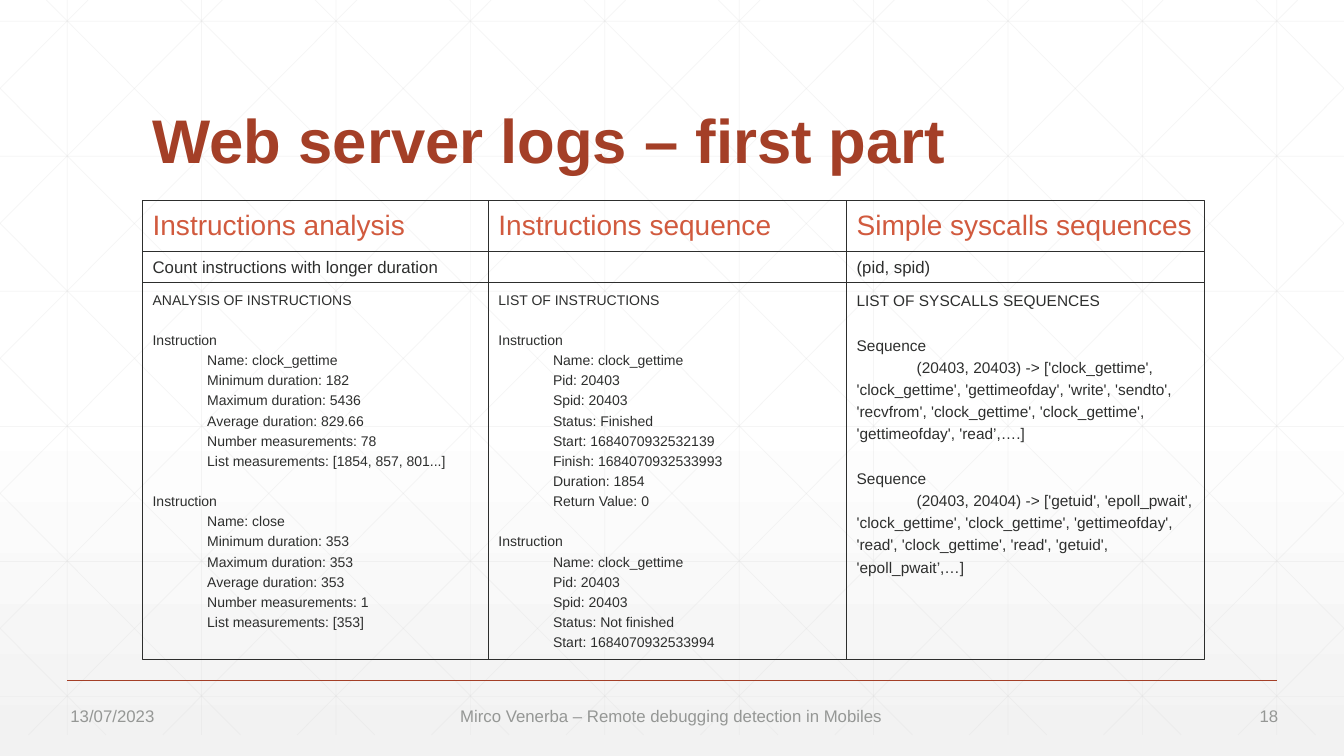
import dataclasses

import lxml.etree
import pptx
import pptx.dml.color
import pptx.enum.dml
import pptx.enum.shapes
import pptx.enum.text
import pptx.oxml.ns
import pptx.util

SLIDE_WIDTH = pptx.util.Inches(13.33)
SLIDE_HEIGHT = pptx.util.Inches(7.5)
FONT = "Arial"
RUST, CORAL, INK, GRAY = "A43F27", "D15A3E", "2D2E2D", "959795"
LATTICE_COLOR = "D9D9D9"
LATTICE_BOTTOM, DIAGONAL_SLOPE = 97.2, 0.56
HEADING_ROW, NOTE_ROW, LOG_ROW = (26.53, 6.73), (33.26, 4.14), (37.4, 49.8)


@dataclasses.dataclass
class Box:
    """A rectangle in percent of the slide's width and height."""

    left: float
    top: float
    width: float
    height: float


@dataclasses.dataclass
class LogColumn:
    """One column of the log overview; a tab marks an indented log line."""

    left: float
    width: float
    heading: str
    note: str
    log_size: int
    title: str
    entries: list[list[str]]


@dataclasses.dataclass
class FooterItem:
    """One text at the foot of the slide."""

    text: str
    left: float
    width: float
    align: str = "LEFT"


COLUMNS = [
    LogColumn(10.62, 25.73, "Instructions analysis", "Count instructions with longer duration", 10,
              "ANALYSIS OF INSTRUCTIONS", [
                  ["Instruction", "\tName: clock_gettime", "\tMinimum duration: 182",
                   "\tMaximum duration: 5436", "\tAverage duration: 829.66",
                   "\tNumber measurements: 78", "\tList measurements: [1854, 857, 801...]"],
                  ["Instruction", "\tName: close", "\tMinimum duration: 353",
                   "\tMaximum duration: 353", "\tAverage duration: 353",
                   "\tNumber measurements: 1", "\tList measurements: [353]"]]),
    LogColumn(36.35, 26.65, "Instructions sequence", "", 10,
              "LIST OF INSTRUCTIONS", [
                  ["Instruction", "\tName: clock_gettime", "\tPid: 20403", "\tSpid: 20403",
                   "\tStatus: Finished", "\tStart: 1684070932532139",
                   "\tFinish: 1684070932533993", "\tDuration: 1854", "\tReturn Value: 0"],
                  ["Instruction", "\tName: clock_gettime", "\tPid: 20403", "\tSpid: 20403",
                   "\tStatus: Not finished", "\tStart: 1684070932533994"]]),
    LogColumn(63, 26.65, "Simple syscalls sequences", "(pid, spid)", 11,
              "LIST OF SYSCALLS SEQUENCES", [
                  ["Sequence",
                   "\t(20403, 20403) -> ['clock_gettime', 'clock_gettime', 'gettimeofday', 'write', "
                   "'sendto', 'recvfrom', 'clock_gettime', 'clock_gettime', 'gettimeofday', 'read’,….]"],
                  ["Sequence",
                   "\t(20403, 20404) -> ['getuid', 'epoll_pwait', 'clock_gettime', 'clock_gettime', "
                   "'gettimeofday', 'read', 'clock_gettime', 'read', 'getuid', 'epoll_pwait’,…]"]]),
]
FOOTER = [
    FooterItem("Mirco Venerba – Remote debugging detection in Mobiles", 33.5, 32.9),
    FooterItem("18", 82.88, 12.97, "RIGHT"),
    FooterItem("13/07/2023", 4.5, 12.2),
]


def color(value: str) -> pptx.dml.color.RGBColor:
    """Turn a hex string into a colour."""
    return pptx.dml.color.RGBColor.from_string(value)


def across(share: float) -> int:
    """Convert percent of the slide's width to a length."""
    return round(SLIDE_WIDTH * share / 100)


def down(share: float) -> int:
    """Convert percent of the slide's height to a length."""
    return round(SLIDE_HEIGHT * share / 100)


def paint_background(slide) -> None:
    """Fill the background with white fading to pale gray at the bottom."""
    fill = slide.background.fill
    fill.gradient()
    fill.gradient_angle = 270
    stops = next(slide.element.iter(pptx.oxml.ns.qn("a:gsLst")))
    for stop in list(stops):
        stops.remove(stop)
    for position, value in ((0, "FFFFFF"), (53, "FFFFFF"), (100, "F2F2F2")):
        stop = lxml.etree.SubElement(stops, pptx.oxml.ns.qn("a:gs"), pos=str(position * 1000))
        lxml.etree.SubElement(stop, pptx.oxml.ns.qn("a:srgbClr"), val=value)


def draw_line(shapes, start: tuple[float, float], end: tuple[float, float],
              value: str, weight: float, opacity: int = 100) -> None:
    """Draw a straight line between two points given in percent."""
    line = shapes.add_connector(pptx.enum.shapes.MSO_CONNECTOR.STRAIGHT,
                                across(start[0]), down(start[1]), across(end[0]), down(end[1]))
    line.line.color.rgb = color(value)
    line.line.width = pptx.util.Pt(weight)
    properties = line._element.spPr
    if opacity < 100:
        tint = next(properties.iter(pptx.oxml.ns.qn("a:srgbClr")))
        lxml.etree.SubElement(tint, pptx.oxml.ns.qn("a:alpha"), val=str(opacity * 1000))
    lxml.etree.SubElement(properties, pptx.oxml.ns.qn("a:effectLst"))


def draw_lattice(slide) -> None:
    """Draw the faint lattice of upright, level and diagonal lines."""
    lines = [((5 + 10 * i, 0), (5 + 10 * i, LATTICE_BOTTOM)) for i in range(10)]
    lines += [((0, 2.8 + 17.87 * i), (100, 2.8 + 17.87 * i)) for i in range(6)]
    for i in range(-5, 10):
        origin = 3.45 + 10 * i
        top = max(0, -origin / DIAGONAL_SLOPE)
        bottom = min(LATTICE_BOTTOM, (100 - origin) / DIAGONAL_SLOPE)
        left, right = origin + DIAGONAL_SLOPE * top, origin + DIAGONAL_SLOPE * bottom
        lines += [((left, top), (right, bottom)), ((100 - left, top), (100 - right, bottom))]
    lattice = slide.shapes.add_group_shape()
    for start, end in lines:
        draw_line(lattice.shapes, start, end, LATTICE_COLOR, 0.5, 25)


def add_text(frame, text: str, *, size: float, value: str, bold: bool = False, align: str = "LEFT",
             spacing: float = 1.0, before: float = 0, indent: float = 0) -> None:
    """Add one formatted paragraph to a text frame."""
    paragraph = frame.paragraphs[0] if not frame.text else frame.add_paragraph()
    paragraph.alignment = getattr(pptx.enum.text.PP_ALIGN, align)
    paragraph.line_spacing = spacing
    paragraph.space_before = pptx.util.Pt(before)
    if indent:
        paragraph._p.get_or_add_pPr().set("indent", str(pptx.util.Pt(indent)))
    run = paragraph.add_run()
    run.text = text
    run.font.name, run.font.size, run.font.bold = FONT, pptx.util.Pt(size), bold
    run.font.color.rgb = color(value)


def add_frame(slide, box: Box, *, anchor: str = "TOP", outlined: bool = False):
    """Add a rectangle or a text box and return its text frame."""
    place = across(box.left), down(box.top), across(box.width), down(box.height)
    if outlined:
        shape = slide.shapes.add_shape(pptx.enum.shapes.MSO_SHAPE.RECTANGLE, *place)
        shape.shadow.inherit = False
        shape.fill.background()
        shape.line.color.rgb = color(INK)
        shape.line.width = pptx.util.Pt(0.75)
    else:
        shape = slide.shapes.add_textbox(*place)
    shape.text_frame.word_wrap = True
    shape.text_frame.vertical_anchor = getattr(pptx.enum.text.MSO_ANCHOR, anchor)
    return shape.text_frame


def draw_column(slide, column: LogColumn) -> None:
    """Draw the heading, note and log cells of one column."""
    heading, note, log = (
        add_frame(slide, Box(column.left, top, column.width, height), anchor=anchor, outlined=True)
        for (top, height), anchor in ((HEADING_ROW, "MIDDLE"), (NOTE_ROW, "TOP"), (LOG_ROW, "TOP")))
    add_text(heading, column.heading, size=20, value=CORAL, spacing=0.9)
    if column.note:
        add_text(note, column.note, size=12, value=INK)
    size = column.log_size
    add_text(log, column.title, size=size, value=INK, spacing=1.2)
    for entry in column.entries:
        for number, text in enumerate(entry):
            add_text(log, text.lstrip("\t"), size=size, value=INK, spacing=1.2,
                     before=0 if number else 1.44 * size,
                     indent=3.9 * size if text.startswith("\t") else 0)


def main() -> None:
    """Build the slide and save it."""
    presentation = pptx.Presentation()
    presentation.slide_width, presentation.slide_height = SLIDE_WIDTH, SLIDE_HEIGHT
    slide = presentation.slides.add_slide(presentation.slide_layouts[6])
    paint_background(slide)
    draw_lattice(slide)
    draw_line(slide.shapes, (5, 90), (95, 90), RUST, 1)
    title = add_frame(slide, Box(10.62, 7.33, 78.75, 16.67), anchor="BOTTOM")
    add_text(title, "Web server logs – first part", size=44, value=RUST, bold=True, spacing=0.9)
    for column in COLUMNS:
        draw_column(slide, column)
    for item in FOOTER:
        frame = add_frame(slide, Box(item.left, 92.67, item.width, 4))
        add_text(frame, item.text, size=12, value=GRAY, align=item.align)
    presentation.save("out.pptx")


if __name__ == "__main__":
    main()
